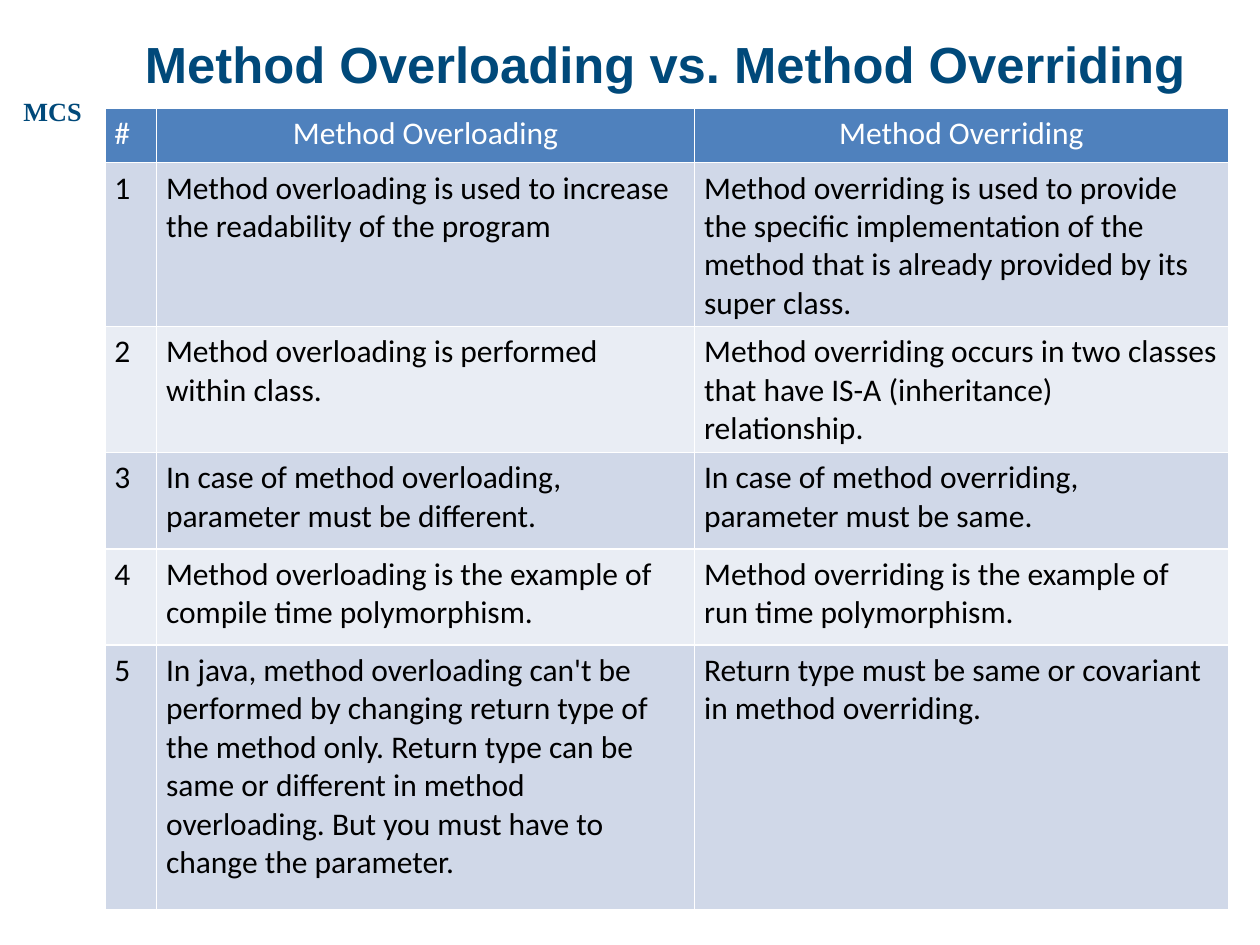
from pptx import Presentation
from pptx.dml.color import RGBColor
from pptx.enum import text
from pptx.util import Pt

COLORS = {
    "navy": "00497A",
    "header": "4F81BD",
    "odd": "D0D8E8",
    "even": "E9EDF4",
    "white": "FFFFFF",
    "black": "000000",
}
COLUMNS = [29.5, 307.5, 305]
ROWS = [31, 79, 55, 55, 55, 151]
COMPARISON = [
    ("Method Overloading", "Method Overriding"),
    ("Method overloading is used to increase the readability of the program",
     "Method overriding is used to provide the specific implementation of the "
     "method that is already provided by its super class."),
    ("Method overloading is performed within class.",
     "Method overriding occurs in two classes that have IS-A (inheritance) relationship."),
    ("In case of method overloading, parameter must be different.",
     "In case of method overriding, parameter must be same."),
    ("Method overloading is the example of compile time polymorphism.",
     "Method overriding is the example of run time polymorphism."),
    ("In java, method overloading can't be performed by changing return type of "
     "the method only. Return type can be same or different in method overloading. "
     "But you must have to change the parameter.",
     "Return type must be same or covariant in method overriding."),
]


def color(name):
    return RGBColor.from_string(COLORS[name])


def style(p, font, size, name, bold=False, centered=False):
    p.font.name, p.font.size, p.font.bold = font, Pt(size), bold
    p.font.color.rgb = color(name)
    p.alignment = text.PP_ALIGN.CENTER if centered else text.PP_ALIGN.LEFT


def add_heading(s, box, words, font, size, wrap=True):
    tf = s.shapes.add_textbox(*map(Pt, box)).text_frame
    tf.word_wrap = wrap
    tf.vertical_anchor = text.MSO_ANCHOR.MIDDLE
    tf.text = words
    style(tf.paragraphs[0], font, size, "navy", bold=True, centered=True)


def add_comparison(s, left, top):
    """Place the numbered table; its size follows from the columns and rows."""
    box = (left, top, sum(COLUMNS), sum(ROWS))
    table = s.shapes.add_table(len(ROWS), len(COLUMNS), *map(Pt, box)).table
    for column, width in zip(table.columns, COLUMNS):
        column.width = Pt(width)
    for i, (row, height, pair) in enumerate(zip(table.rows, ROWS, COMPARISON)):
        row.height = Pt(height)
        header = i == 0
        fill = "header" if header else "odd" if i % 2 else "even"
        label = "#" if header else str(i)
        for j, (cell, words) in enumerate(zip(row.cells, (label, *pair))):
            cell.fill.solid()
            cell.fill.fore_color.rgb = color(fill)
            cell.margin_left = cell.margin_right = Pt(5.4)
            cell.text = words
            style(cell.text_frame.paragraphs[0], "Calibri", 18,
                  "white" if header else "black", centered=header and j > 0)


def main():
    prs = Presentation()
    prs.slide_width, prs.slide_height = Pt(720), Pt(540)
    s = prs.slides.add_slide(prs.slide_layouts[6])
    add_heading(s, (6, 51, 48, 25), "MCS", "Times New Roman", 15, wrap=False)
    add_heading(s, (60, 0, 641, 72), "Method Overloading vs. Method Overriding", "Arial", 29)
    add_comparison(s, 60, 62)
    prs.save("out.pptx")


if __name__ == "__main__":
    main()
